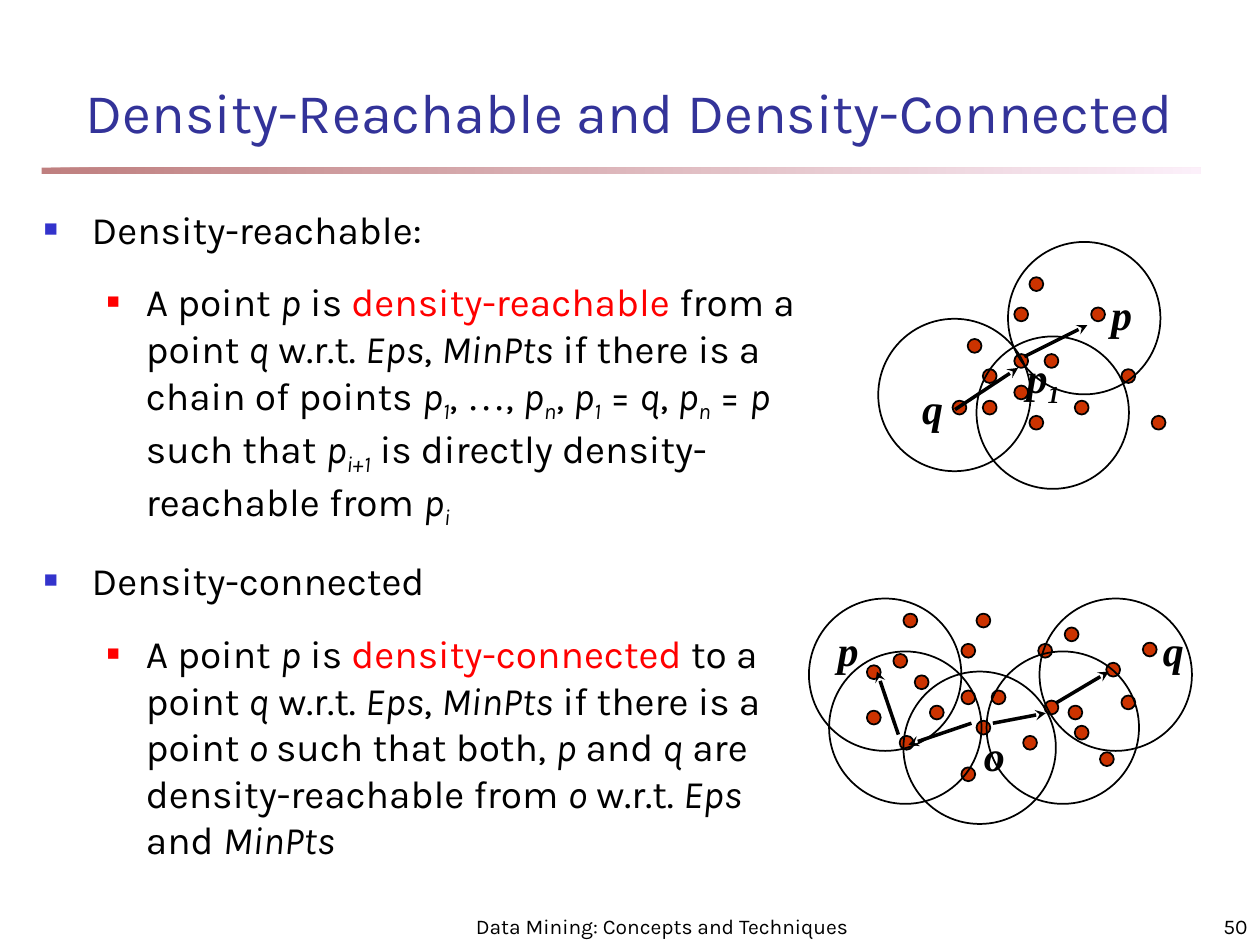
import lxml.etree
import pptx
import pptx.dml.color
import pptx.enum.shapes
import pptx.enum.text
import pptx.oxml
import pptx.oxml.ns
import pptx.util

Inches = pptx.util.Inches
ALIGN = pptx.enum.text.PP_ALIGN
ANCHOR = pptx.enum.text.MSO_ANCHOR
OVAL = pptx.enum.shapes.MSO_SHAPE.OVAL
RECTANGLE = pptx.enum.shapes.MSO_SHAPE.RECTANGLE
SANS, SERIF = "Karla", "Times New Roman"
BLACK, RED, DOT_RED = "000000", "FF0000", "CC3300"
DOT, CIRCLE = 0.11, 1.21

RUN_STYLES = {
    "/": {"italic": True},
    "_": {"italic": True, "baseline": -25},
    "!": {"color": RED},
    "~": {"font": SERIF},
}
LEVELS = [
    {"margin": 0.38, "indent": -0.38, "color": "3333CC", "size": 60},
    {"margin": 0.81, "indent": -0.31, "color": RED, "size": 55},
]
BODY = [
    (0, "Density-reachable:"),
    (1, "A point |/p| is |!density-reachable| from a point |/q| w.r.t. |/Eps|, |/MinPts"
        "| if there is a chain of points |/p|_1|, |~…|, |/p|_n|, |/p|_1| = |/q|, |/p|_n"
        "| = |/p| such that |/p|_i+1| is directly density-reachable from |/p|_i"),
    (0, "Density-connected"),
    (1, "A point |/p| is |!density-connected| to a point |/q| w.r.t. |/Eps|, |/MinPts"
        "| if there is a point |/o |such that both, |/p| and |/q"
        "| are density-reachable from |/o| w.r.t. |/Eps| and |/MinPts"),
]
REACHABLE = {
    "dots": [(0.71, 0.77), (1.08, 0.89), (1.08, 0.52), (0.59, 1.26), (0.83, 1.01),
             (0.83, 1.26), (1.2, 1.38), (1.2, 0.28), (1.93, 1.01), (1.69, 0.52),
             (1.08, 1.14), (1.32, 0.89), (1.56, 1.26), (2.17, 1.38)],
    "circles": [(0.78, 0.75), (0, 0.61), (1.03, 0)],
    "arrows": [(1.16, 0.91, 1.66, 0.66), (0.61, 1.33, 1.11, 1)],
    "labels": [("p", 1.75, 0.32, 0.42), ("q", 0.25, 1.07, 0.42), ("p|_1", 1.08, 0.82, 0.67)],
}
CONNECTED = {
    "dots": [(0.84, 0.61), (1.21, 0.73), (1.21, 0.36), (0.72, 1.09), (0.96, 0.85),
             (1.21, 1.34), (1.33, 0.97), (1.33, 0.12), (2.06, 0.85), (1.82, 0.36),
             (0.46, 0.89), (1.45, 0.73), (1.7, 1.09), (2.31, 1.22), (2.48, 0.77),
             (1.87, 0.81), (2.11, 1.01), (2.65, 0.35), (2.03, 0.23), (2.36, 0.51),
             (0.67, 0.44), (0.46, 0.53), (0.75, 0.12)],
    "circles": [(0.16, 0.42), (0.75, 0.58), (1.41, 0.42), (1.83, 0), (0, 0)],
    "arrows": [(1.29, 0.99, 0.79, 1.16), (1.46, 0.99, 1.88, 0.91),
               (0.71, 1.08, 0.54, 0.58), (1.96, 0.83, 2.38, 0.58)],
    "labels": [("p", 0.13, 0.16, 0.42), ("q", 2.71, 0.16, 0.42), ("o", 1.29, 0.99, 0.42)],
}


def rgb(color):
    """Turn a hex string into a colour."""
    return pptx.dml.color.RGBColor.from_string(color)


def add_element(parent, tag, **attributes):
    """Append a DrawingML element to its parent."""
    element = lxml.etree.SubElement(parent, pptx.oxml.ns.qn(tag))
    for name, value in attributes.items():
        element.set(name, str(value))
    return element


def write_run(paragraph, text, size, font=SANS, color=BLACK, bold=False, italic=False, baseline=0):
    """Add one formatted run to a paragraph."""
    run = paragraph.add_run()
    run.text = text
    run.font.size = pptx.util.Pt(size)
    run.font.name = font
    run.font.color.rgb = rgb(color)
    run.font.bold = bold
    run.font.italic = italic
    if baseline:
        run.font._element.set("baseline", str(baseline * 1000))


def write_text(paragraph, text, **style):
    """Write text whose parts, split by bars, may open with a style mark."""
    for part in text.split("|"):
        special = RUN_STYLES.get(part[0], {})
        write_run(paragraph, part[1:] if special else part, **{**style, **special})


def add_frame(slide, left, top, width, height, anchor=ANCHOR.TOP, wrap=True):
    """Add a text box and return its text frame."""
    box = slide.shapes.add_textbox(Inches(left), Inches(top), Inches(width), Inches(height))
    box.text_frame.word_wrap = wrap
    box.text_frame.vertical_anchor = anchor
    return box.text_frame


def add_line_of_text(slide, box, text, align, anchor, **style):
    """Add a box with a single aligned paragraph."""
    paragraph = add_frame(slide, *box, anchor=anchor).paragraphs[0]
    paragraph.alignment = align
    write_text(paragraph, text, **style)


def add_rule(slide, left, top, width, height):
    """Add the fading bar under the title."""
    bar = slide.shapes.add_shape(RECTANGLE, Inches(left), Inches(top), Inches(width), Inches(height))
    bar.shadow.inherit = False
    bar.line.fill.background()
    bar.fill.gradient()
    bar.fill.gradient_angle = 0
    for stop, position, color in zip(bar.fill.gradient_stops, (0, 1), ("800000", "FAE2F6")):
        stop.position = position
        stop.color.rgb = rgb(color)
    for element in bar._element.spPr.iter(pptx.oxml.ns.qn("a:srgbClr")):
        add_element(element, "a:alpha", val=50000)


def add_body(slide, left, top, width, height):
    """Add the two-level bulleted text."""
    frame = add_frame(slide, left, top, width, height)
    for index, (level, text) in enumerate(BODY):
        paragraph = frame.add_paragraph() if index else frame.paragraphs[0]
        look = LEVELS[level]
        paragraph.level = level
        properties = paragraph._p.get_or_add_pPr()
        properties.set("marL", str(Inches(look["margin"])))
        properties.set("indent", str(Inches(look["indent"])))
        add_element(add_element(properties, "a:buClr"), "a:srgbClr", val=look["color"])
        add_element(properties, "a:buSzPct", val=look["size"] * 1000)
        add_element(properties, "a:buFont", typeface=SERIF)
        add_element(properties, "a:buChar", char="■")
        paragraph.space_before = pptx.util.Pt(15 if index else 0)
        write_text(paragraph, text, size=22.2)


def add_oval(slide, left, top, diameter, fill=None):
    """Add a black-edged circle, filled if a colour is given."""
    oval = slide.shapes.add_shape(OVAL, Inches(left), Inches(top), Inches(diameter), Inches(diameter))
    oval.shadow.inherit = False
    oval.line.color.rgb = rgb(BLACK)
    oval.line.width = pptx.util.Pt(1)
    if fill:
        oval.fill.solid()
        oval.fill.fore_color.rgb = rgb(fill)
    else:
        oval.fill.background()


def add_arrow(slide, *ends):
    """Add a straight arrow from the first point to the second."""
    arrow = slide.shapes.add_connector(pptx.enum.shapes.MSO_CONNECTOR.STRAIGHT, *map(Inches, ends))
    arrow.line.color.rgb = rgb(BLACK)
    arrow.line.width = pptx.util.Pt(2)
    add_element(arrow.line._get_or_add_ln(), "a:tailEnd", type="stealth")
    add_element(arrow._element.spPr, "a:effectLst")


def add_diagram(slide, left, top, dots, circles, arrows, labels):
    """Add a cluster of points with neighbourhoods, arrows and labels."""
    for x, y in dots:
        add_oval(slide, left + x, top + y, DOT, DOT_RED)
    for x, y in circles:
        add_oval(slide, left + x, top + y, CIRCLE)
    for x1, y1, x2, y2 in arrows:
        add_arrow(slide, left + x1, top + y1, left + x2, top + y2)
    for text, x, y, width in labels:
        frame = add_frame(slide, left + x, top + y, width, 0.5)
        write_text(frame.paragraphs[0], text, size=24, font=SERIF, bold=True, italic=True)


def main():
    """Build and save the slide."""
    presentation = pptx.Presentation()
    presentation.slide_width = Inches(10)
    presentation.slide_height = Inches(7.5)
    slide = presentation.slides.add_slide(presentation.slide_layouts[6])
    add_rule(slide, 0.33, 1.33, 9.2, 0.05)
    add_line_of_text(slide, (0, 0.42, 10, 0.92), "Density-Reachable and Density-Connected",
                     ALIGN.CENTER, ANCHOR.MIDDLE, size=32, color="333399")
    add_body(slide, 0.25, 1.58, 6.17, 5.5)
    add_diagram(slide, 6.97, 1.92, **REACHABLE)
    add_diagram(slide, 6.42, 4.75, **CONNECTED)
    add_line_of_text(slide, (3.67, 7.08, 3.17, 0.42), "Data Mining: Concepts and Techniques",
                     ALIGN.CENTER, ANCHOR.BOTTOM, size=12)
    add_line_of_text(slide, (7.92, 7.08, 2.08, 0.42), "50", ALIGN.RIGHT, ANCHOR.BOTTOM, size=12)
    presentation.save("out.pptx")


if __name__ == "__main__":
    main()
